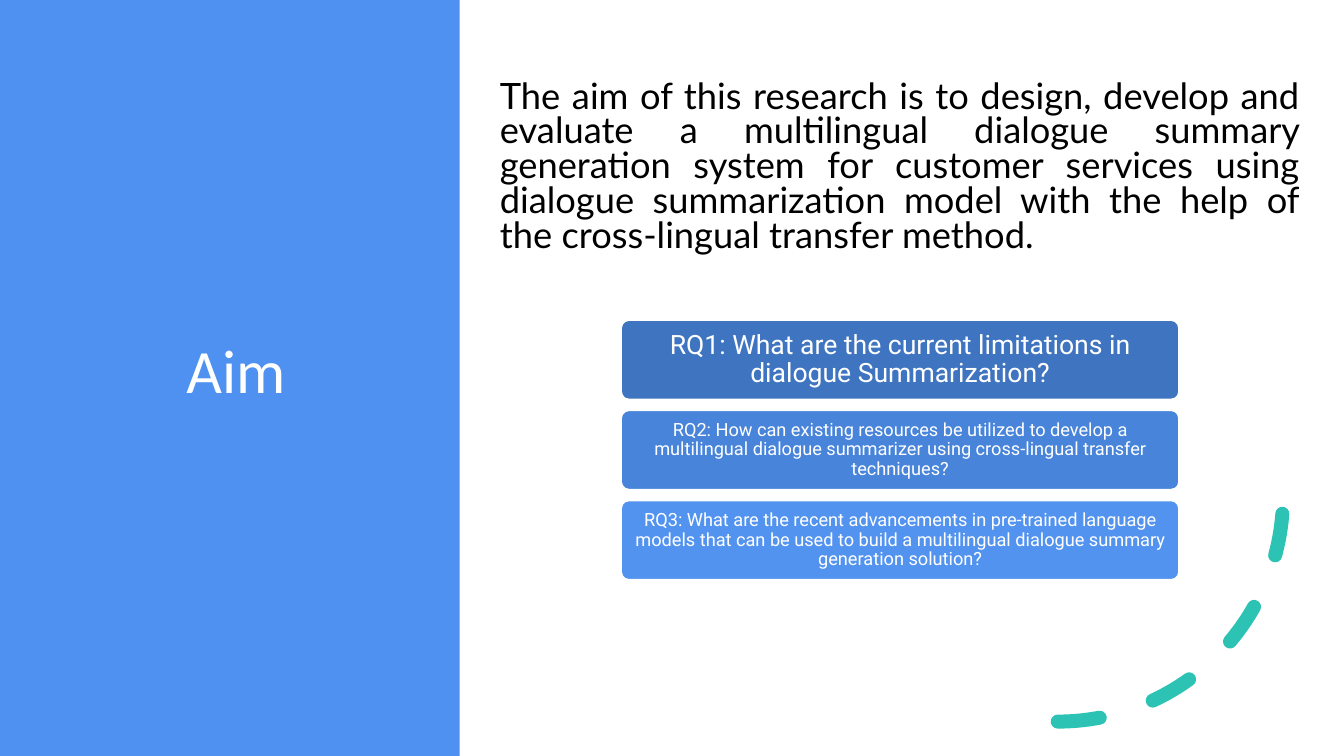
from lxml import etree
from pptx import Presentation
from pptx.dml.color import RGBColor
from pptx.enum.dml import MSO_LINE
from pptx.enum.shapes import MSO_SHAPE
from pptx.enum.text import MSO_ANCHOR, PP_ALIGN
from pptx.util import Pt

RECTANGLE = MSO_SHAPE.RECTANGLE
ROUNDED = MSO_SHAPE.ROUNDED_RECTANGLE
ARC = MSO_SHAPE.ARC
DASH = MSO_LINE.DASH
MIDDLE = MSO_ANCHOR.MIDDLE
LEFT, CENTER, JUSTIFY = PP_ALIGN.LEFT, PP_ALIGN.CENTER, PP_ALIGN.JUSTIFY

WHITE, BLACK = "FFFFFF", "000000"
PANEL_BLUE, TEAL = "4E91F0", "2CC3B4"
AIM = (
    "The aim of this research is to design, develop and evaluate a multilingual "
    "dialogue summary generation system for customer services using dialogue "
    "summarization model with the help of the cross-lingual transfer method."
)
QUESTIONS = [
    ("RQ1: What are the current limitations in dialogue Summarization?",
     19, 7.2, "3E74C0"),
    ("RQ2: How can existing resources be utilized to develop a multilingual "
     "dialogue summarizer using cross-lingual transfer techniques?",
     13, 5.4, "4784DA"),
    ("RQ3: What are the recent advancements in pre-trained language models that "
     "can be used to build a multilingual dialogue summary generation solution?",
     13, 5.4, "5393F0"),
]
QUESTION_TOP, QUESTION_PITCH = 228.5, 64.4


def color(hex_code):
    return RGBColor.from_string(hex_code)


def write(holder, text, font, size, hex_code, align, spacing, insets):
    frame = holder.text_frame
    frame.word_wrap = True
    frame.vertical_anchor = MIDDLE
    frame.margin_left, frame.margin_top, frame.margin_right, frame.margin_bottom = map(Pt, insets)
    frame.text = text
    paragraph = frame.paragraphs[0]
    paragraph.alignment = align
    paragraph.line_spacing = spacing
    for run in paragraph.runs:
        run.font.name = font
        run.font.size = Pt(size)
        run.font.color.rgb = color(hex_code)


def add_block(slide, kind, box, fill):
    block = slide.shapes.add_shape(kind, *map(Pt, box))
    block.shadow.inherit = False
    block.fill.solid()
    block.fill.fore_color.rgb = color(fill)
    block.line.fill.background()
    return block


def add_text(slide, box, *style):
    write(slide.shapes.add_textbox(*map(Pt, box)), *style)


def add_question(slide, index, text, size, inset, fill):
    top = QUESTION_TOP + index * QUESTION_PITCH
    question = add_block(slide, ROUNDED, (443.5, top, 398.8, 57), fill)
    question.adjustments[0] = 0.1
    question.line.color.rgb = color(WHITE)
    question.line.width = Pt(1.5)
    write(question, text, "Roboto", size, WHITE, CENTER, 0.9, (inset,) * 4)


def add_dashed_arc(slide, box):
    arc = slide.shapes.add_shape(ARC, *map(Pt, box))
    arc.shadow.inherit = False
    arc.fill.background()
    arc.line.color.rgb = color(TEAL)
    arc.line.width = Pt(10)
    arc.line.dash_style = DASH
    properties = arc._element.spPr
    properties.xfrm.set("flipV", "1")
    outline = properties.ln
    outline.set("cap", "rnd")
    etree.SubElement(outline, outline.tag.replace("}ln", "}round"))


def main():
    deck = Presentation()
    deck.slide_width, deck.slide_height = Pt(960), Pt(540)
    slide = deck.slides.add_slide(deck.slide_layouts[6])
    add_block(slide, RECTANGLE, (0, 0, 328.3, 540), PANEL_BLUE)
    add_text(slide, (54, 46.8, 252, 440), "Aim", "Calibri", 44, WHITE, LEFT, 0.9,
             (79.2, 3.6, 7.2, 3.6))
    add_text(slide, (350, 46.8, 585.4, 146.9), AIM, "Lato", 25.9, BLACK, JUSTIFY, 0.8,
             (7.2, 3.6, 7.2, 3.6))
    add_dashed_arc(slide, (594.7, 193.7, 321.8, 321.8))
    for index, question in enumerate(QUESTIONS):
        add_question(slide, index, *question)
    deck.save("out.pptx")


if __name__ == "__main__":
    main()
